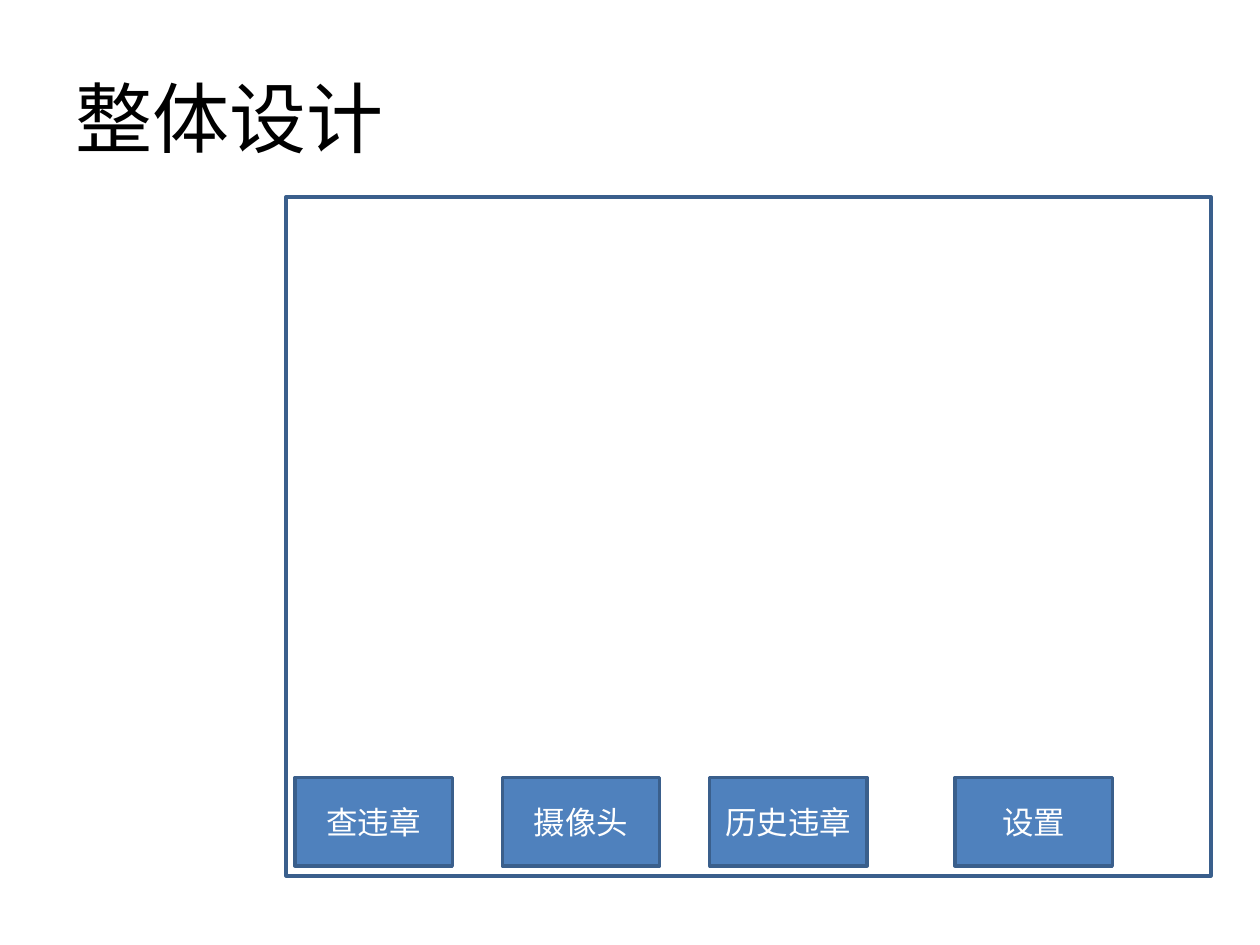
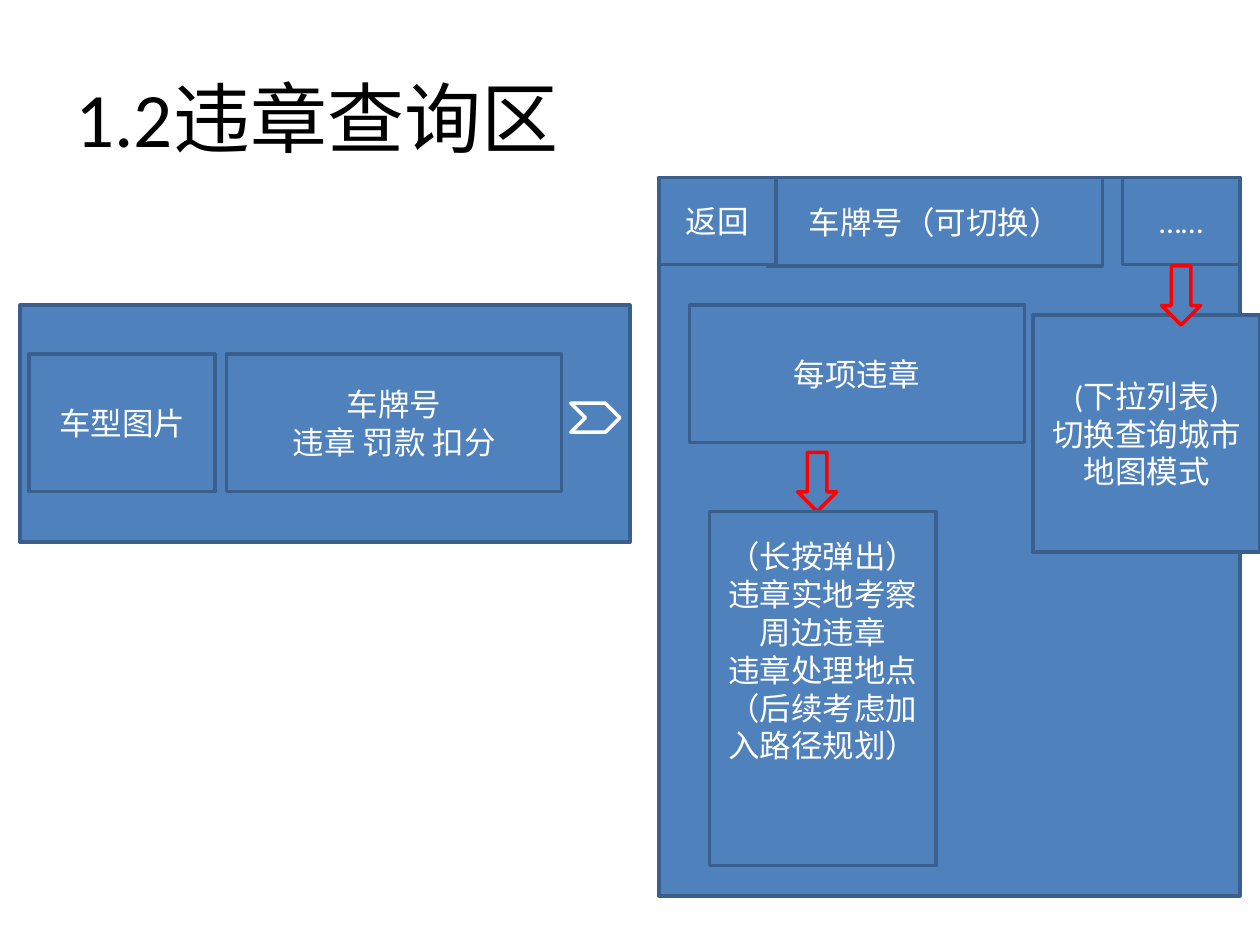
from pptx import Presentation
from pptx.dml.color import RGBColor
from pptx.enum.shapes import MSO_SHAPE
from pptx.enum.text import MSO_ANCHOR, PP_ALIGN
from pptx.util import Pt

RECT, DOWN, CHEVRON = MSO_SHAPE.RECTANGLE, MSO_SHAPE.DOWN_ARROW, MSO_SHAPE.CHEVRON
MIDDLE, LEFT, CENTER = MSO_ANCHOR.MIDDLE, PP_ALIGN.LEFT, PP_ALIGN.CENTER
FONT = "Calibri"
BLUE, EDGE, WHITE, BLACK, RED = "4F81BD", "3A5F8C", "FFFFFF", "000000", "FF0000"

# Home screen: a row of tabs, the last one set apart
FRAME = (163.5, 112.5, 528.5, 388)
TABS = ["查违章", "摄像头", "历史违章"]
LAST = "设置"
TAB_X, TAB_Y, TAB_W, TAB_H, STEP = 168.5, 444.4, 90, 50.4, 118.5
LAST_X = 545.6

# Query screen: a list card on the left, a detail page on the right
WIDE, HIGH = 191.5, 78.5
CARD_Y, ROW_Y = 174.4, 202.4
PAGE_X, PAGE_Y, PAGE_W = 376.5, 101.5, 332
KEY_W, KEY_H = 67, 49.7
MENU_W, MENU_H = 129.6, 135.4
CARD = [
    ((11.5, CARD_Y, 348.5, MENU_H), []),
    ((16.5, ROW_Y, 106.5, HIGH), ["车型图片"]),
    ((129.5, ROW_Y, WIDE, HIGH), ["车牌号", "违章 罚款 扣分"]),
]
PAGE = [
    ((PAGE_X, PAGE_Y, PAGE_W, 410.4), []),
    ((394, CARD_Y, WIDE, HIGH), ["每项违章"]),
    ((438.5, PAGE_Y, WIDE, 50.4), ["车牌号（可切换）"]),
    ((PAGE_X, PAGE_Y, KEY_W, KEY_H), ["返回"]),
    ((PAGE_X + PAGE_W - KEY_W, PAGE_Y, KEY_W, KEY_H), ["……"]),
    ((590.4, 180, MENU_W, MENU_H), ["(下拉列表)", "切换查询城市", "地图模式"]),
]
ARROWS = [(663.8, 152), (455.8, 258.5)]
POPUP = (405.4, 292.3, MENU_W, 202.3)
ACTIONS = ["（长按弹出）", "违章实地考察", "周边违章",
           "违章处理地点（后续考虑加入路径规划）"]


def color(code):
    """Turn a hex string into a colour."""
    return RGBColor.from_string(code)


def style(para, size, code, align):
    """Set font and alignment of a paragraph."""
    para.alignment = align
    para.font.name, para.font.size = FONT, Pt(size)
    para.font.color.rgb = color(code)


def add_page(deck, text):
    """Add a slide with a left-aligned title."""
    slide = deck.slides.add_slide(deck.slide_layouts[5])
    title = slide.shapes.title
    title.left, title.top, title.width, title.height = map(Pt, (36, 21.6, 648, 90))
    title.text_frame.text = text
    title.text_frame.vertical_anchor = MIDDLE
    style(title.text_frame.paragraphs[0], 44, BLACK, LEFT)
    return slide


def add_box(slide, area, lines=(), kind=RECT, fill=BLUE, edge=EDGE):
    """Draw an outlined shape with centred white lines of text."""
    box = slide.shapes.add_shape(kind, *map(Pt, area))
    box.shadow.inherit = False
    if fill:
        box.fill.solid()
        box.fill.fore_color.rgb = color(fill)
    else:
        box.fill.background()
    box.line.color.rgb = color(edge)
    box.line.width = Pt(2)
    if lines:
        frame = box.text_frame
        frame.word_wrap = True
        frame.vertical_anchor = MIDDLE
        frame.text = "\n".join(lines)
        for para in frame.paragraphs:
            style(para, 18, WHITE, CENTER)
    return box


def draw_home(deck):
    """Build the overall design slide."""
    slide = add_page(deck, "整体设计")
    add_box(slide, FRAME, fill=None)
    spots = [(TAB_X + i * STEP, name) for i, name in enumerate(TABS)]
    for x, name in spots + [(LAST_X, LAST)]:
        add_box(slide, (x, TAB_Y, TAB_W, TAB_H), [name])


def draw_query(deck):
    """Build the violation query slide."""
    slide = add_page(deck, "1.2违章查询区")
    for area, lines in CARD:
        add_box(slide, area, lines)
    add_box(slide, (326.2, 230.4, 28, 16.6), kind=CHEVRON, edge=WHITE)
    for area, lines in PAGE:
        add_box(slide, area, lines)
    for x, y in ARROWS:
        add_box(slide, (x, y, 22.3, 33.8), kind=DOWN, edge=RED)
    popup = add_box(slide, POPUP, ACTIONS)
    popup.text_frame.margin_bottom = Pt(46.6)


deck = Presentation()
deck.slide_width, deck.slide_height = Pt(720), Pt(540)
draw_home(deck)
draw_query(deck)
deck.save("out.pptx")
